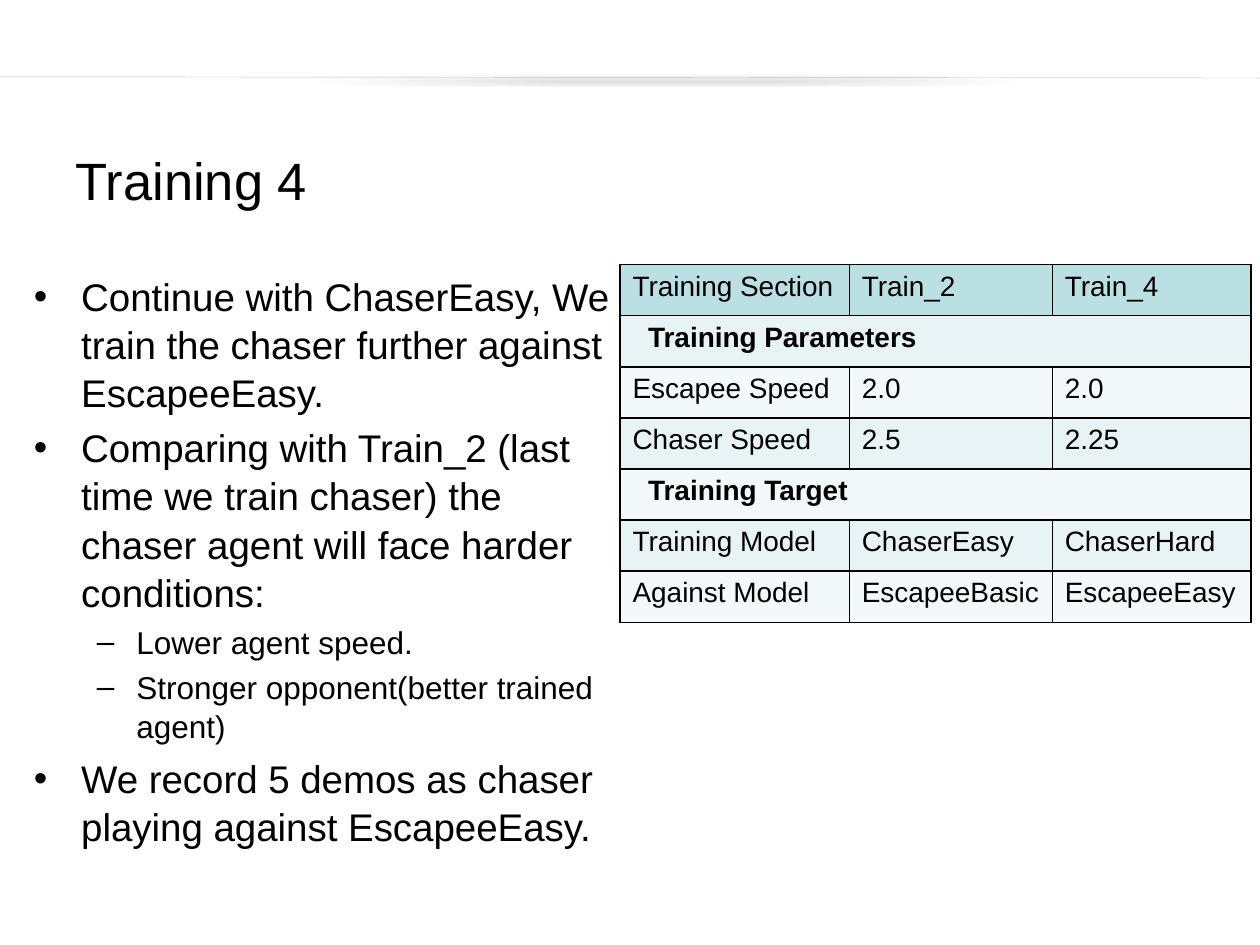
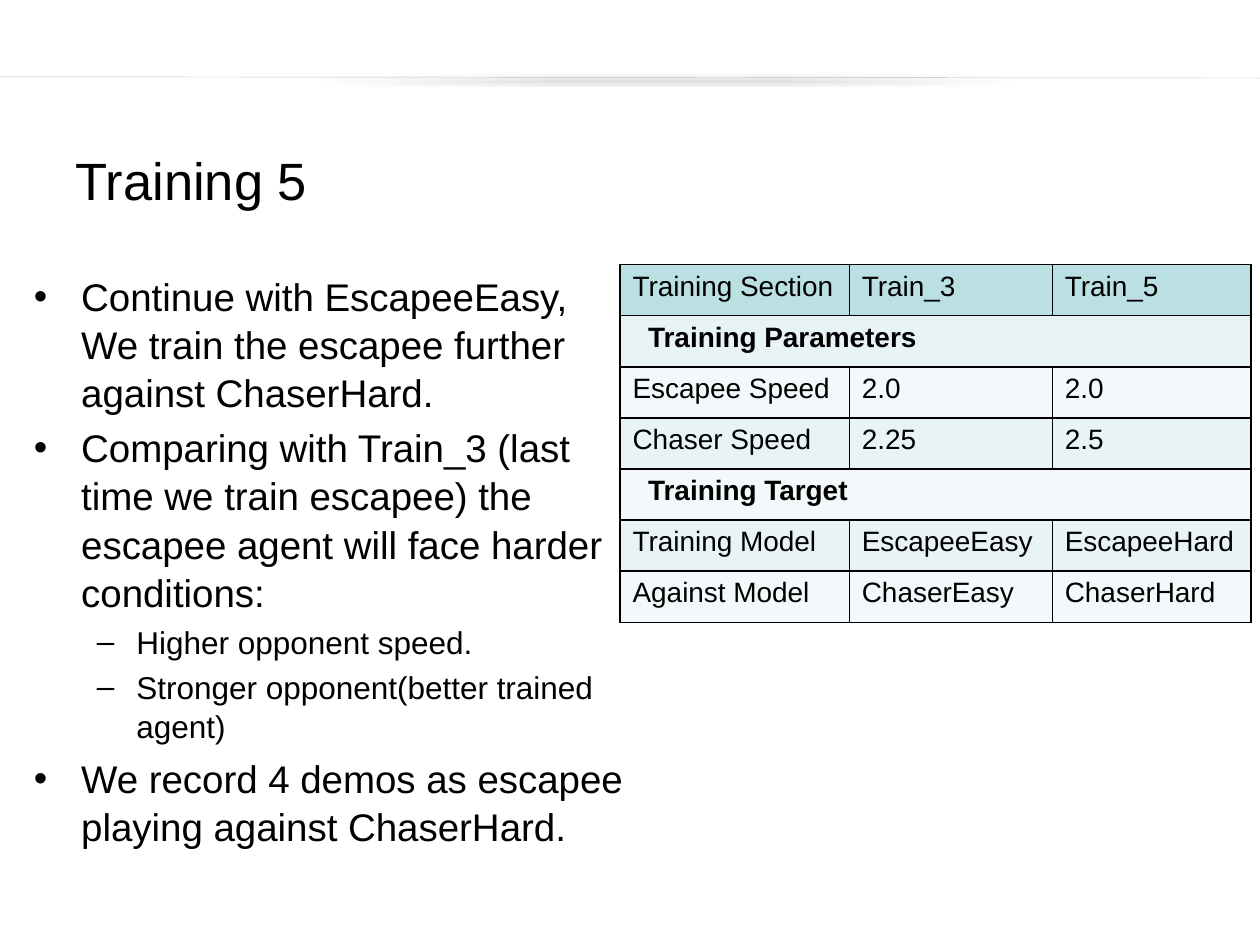
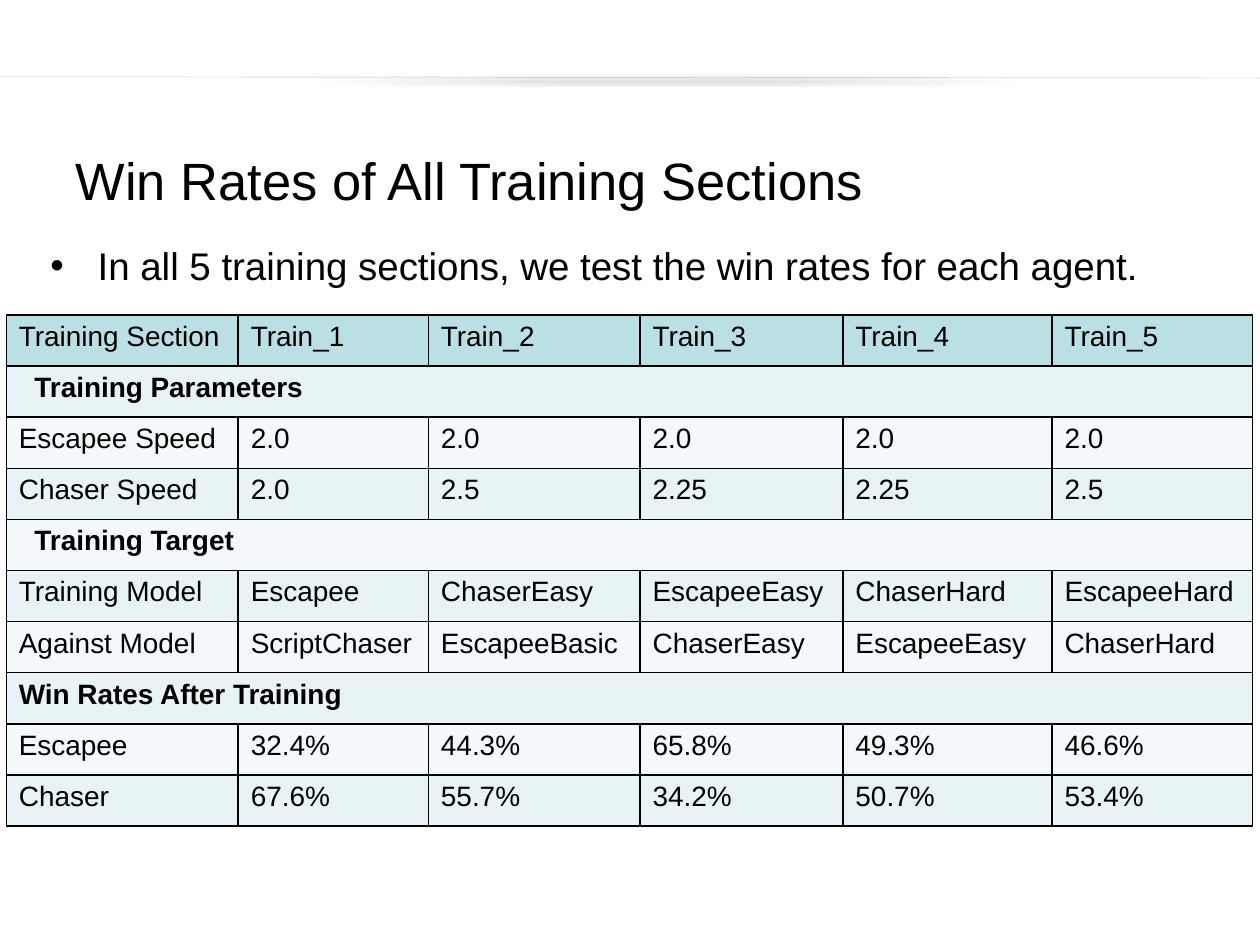
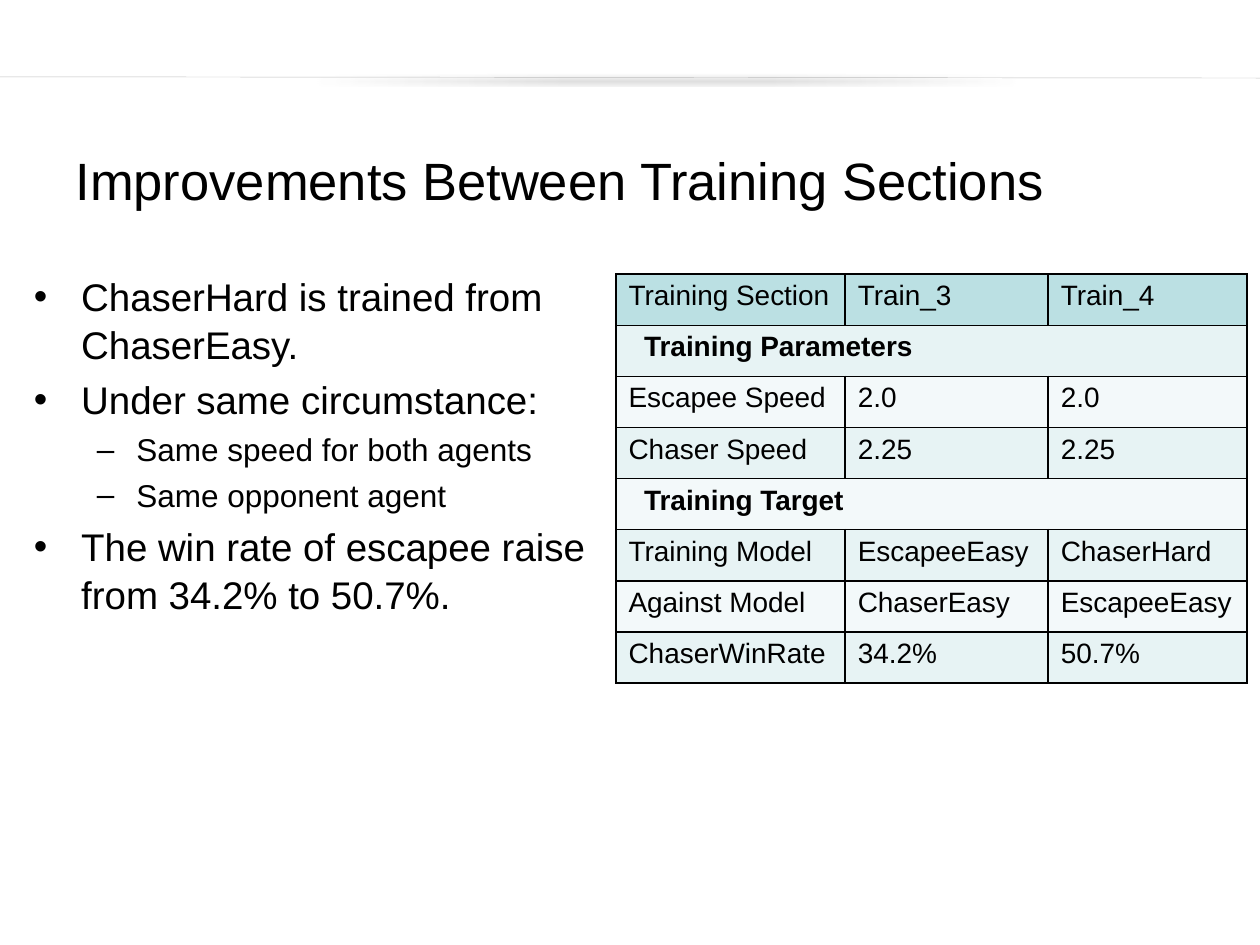
from dataclasses import dataclass

import pptx
import pptx.dml.color
import pptx.enum.shapes
import pptx.enum.text
import pptx.oxml
import pptx.oxml.ns
import pptx.util
from lxml import etree

Pt = pptx.util.Pt


@dataclass(frozen=True)
class Theme:
    font: str = "Arial"
    ink: str = "000000"
    rule: str = "BFBFBF"
    header: str = "BBE0E3"
    bands: tuple = ("F3F9FA", "E7F3F4")  # even rows, odd rows
    title_size: float = 30
    body_sizes: tuple = (22, 18)  # by list level
    table_size: float = 16
    line_spacing: float = 1.04
    row_height: float = 29.2
    cell_indent: float = 7.2
    section_indent: float = 16.1


THEME = Theme()
TITLE_BOX = (36, 70.6, 648, 63.4)

# One record per training section; every table is a selection of these
TRAININGS = {
    "Train_1": dict(escapee_speed="2.0", chaser_speed="2.0", model="Escapee",
                    against="ScriptChaser", escapee_wins="32.4%", chaser_wins="67.6%"),
    "Train_2": dict(escapee_speed="2.0", chaser_speed="2.5", model="ChaserEasy",
                    against="EscapeeBasic", escapee_wins="44.3%", chaser_wins="55.7%"),
    "Train_3": dict(escapee_speed="2.0", chaser_speed="2.25", model="EscapeeEasy",
                    against="ChaserEasy", escapee_wins="65.8%", chaser_wins="34.2%"),
    "Train_4": dict(escapee_speed="2.0", chaser_speed="2.25", model="ChaserHard",
                    against="EscapeeEasy", escapee_wins="49.3%", chaser_wins="50.7%"),
    "Train_5": dict(escapee_speed="2.0", chaser_speed="2.5", model="EscapeeHard",
                    against="ChaserHard", escapee_wins="46.6%", chaser_wins="53.4%"),
}

# Table rows: label, field (None for a section heading), left margin
SETUP_ROWS = [
    ("Training Parameters", None, THEME.section_indent),
    ("Escapee Speed", "escapee_speed", THEME.cell_indent),
    ("Chaser Speed", "chaser_speed", THEME.cell_indent),
    ("Training Target", None, THEME.section_indent),
    ("Training Model", "model", THEME.cell_indent),
    ("Against Model", "against", THEME.cell_indent),
]
WIN_RATE_ROWS = [
    ("Win Rates After Training", None, THEME.cell_indent),
    ("Escapee", "escapee_wins", THEME.cell_indent),
    ("Chaser", "chaser_wins", THEME.cell_indent),
]
CHASER_ROW = ("ChaserWinRate", "chaser_wins", THEME.cell_indent)

PAIR_WIDTHS = (131, 116, 113.7)
ALL_WIDTHS = (132.5, 108.7, 121, 115.9, 119.5, 114.5)

# Slides: title, list box, (level, text) items, table corner, widths, trainings, rows
SLIDES = [
    ("Training 4", (12.2, 151.2, 347.8, 357), [
        (0, "Continue with ChaserEasy, We train the chaser further against EscapeeEasy."),
        (0, "Comparing with Train_2 (last time we train chaser) the chaser agent "
            "will face harder conditions:"),
        (1, "Lower agent speed."),
        (1, "Stronger opponent(better trained agent)"),
        (0, "We record 5 demos as chaser playing against EscapeeEasy."),
    ], (354.3, 151.2), PAIR_WIDTHS, ("Train_2", "Train_4"), SETUP_ROWS),
    ("Training 5", (12.2, 151.2, 354.2, 357), [
        (0, "Continue with EscapeeEasy, We train the escapee further against ChaserHard."),
        (0, "Comparing with Train_3 (last time we train escapee) the escapee agent "
            "will face harder conditions:"),
        (1, "Higher opponent speed."),
        (1, "Stronger opponent(better trained agent)"),
        (0, "We record 4 demos as escapee playing against ChaserHard."),
    ], (354.3, 151.2), PAIR_WIDTHS, ("Train_3", "Train_5"), SETUP_ROWS),
    ("Win Rates of All Training Sections", (21.6, 133.9, 667.4, 357), [
        (0, "In all 5 training sections, we test the win rates for each agent."),
    ], (3.6, 180), ALL_WIDTHS, tuple(TRAININGS), SETUP_ROWS + WIN_RATE_ROWS),
    ("Improvements Between Training Sections", (12.2, 151.2, 331.2, 357), [
        (0, "ChaserHard is trained from ChaserEasy."),
        (0, "Under same circumstance:"),
        (1, "Same speed for both agents"),
        (1, "Same opponent agent"),
        (0, "The win rate of escapee raise from 34.2% to 50.7%."),
    ], (352, 156.7), PAIR_WIDTHS, ("Train_3", "Train_4"), SETUP_ROWS + [CHASER_ROW]),
]


def rgb(code):
    return pptx.dml.color.RGBColor.from_string(code)


def place(shape, box):
    shape.left, shape.top, shape.width, shape.height = (Pt(length) for length in box)


def style_runs(para, size, bold=False):
    for span in para.runs:
        span.font.name = THEME.font
        span.font.size = Pt(size)
        span.font.bold = bold
        span.font.color.rgb = rgb(THEME.ink)


def add_child(parent, tag, **attributes):
    child = etree.SubElement(parent, pptx.oxml.ns.qn(tag))
    for name, value in attributes.items():
        child.set(name, str(value))
    return child


def add_master_rule(deck, page):
    """Draw the shadowed top rule and move it to the slide master."""
    rule = page.shapes.add_connector(
        pptx.enum.shapes.MSO_CONNECTOR.STRAIGHT, Pt(0), Pt(43.9), Pt(720), Pt(44.6))
    rule.line.color.rgb = rgb(THEME.rule)
    rule.line.width = Pt(0.25)
    effects = add_child(rule.element.spPr, "a:effectLst")
    shadow = add_child(effects, "a:outerShdw", blurRad=Pt(3.1), dist=Pt(1.6),
                       dir=90 * 60000, algn="t", rotWithShape=0)
    color = add_child(shadow, "a:srgbClr", val="000000")
    add_child(color, "a:alpha", val=38000)
    deck.slide_master.shapes.element.append(rule.element)


def add_title(page, text, box):
    title = page.shapes.title
    place(title, box)
    frame = title.text_frame
    frame.text = text
    frame.auto_size = pptx.enum.text.MSO_AUTO_SIZE.NONE
    frame.vertical_anchor = pptx.enum.text.MSO_ANCHOR.MIDDLE
    frame.paragraphs[0].alignment = pptx.enum.text.PP_ALIGN.LEFT
    style_runs(frame.paragraphs[0], THEME.title_size)


def add_list(page, items, box):
    """Fill the body placeholder; bullets and indents come from its levels."""
    body = page.placeholders[1]
    place(body, box)
    frame = body.text_frame
    frame.text = "\n".join(text for level, text in items)
    frame.auto_size = pptx.enum.text.MSO_AUTO_SIZE.NONE
    for para, (level, text) in zip(frame.paragraphs, items):
        para.level = level
        para.line_spacing = THEME.line_spacing
        style_runs(para, THEME.body_sizes[level])
    frame.paragraphs[0].space_before = Pt(0)


def style_cell(cell, fill, bold, indent):
    cell.margin_left = Pt(indent)
    style_runs(cell.text_frame.paragraphs[0], THEME.table_size, bold)
    properties = cell._tc.get_or_add_tcPr()
    for side in ("a:lnL", "a:lnR", "a:lnT", "a:lnB"):
        border = add_child(properties, side, w=Pt(1))
        add_child(add_child(border, "a:solidFill"), "a:srgbClr", val=THEME.ink)
    cell.fill.solid()
    cell.fill.fore_color.rgb = rgb(fill)


def add_training_table(page, corner, widths, names, rows):
    left, top = corner
    count = len(rows) + 1
    table = page.shapes.add_table(
        count, len(widths), Pt(left), Pt(top),
        Pt(sum(widths)), Pt(count * THEME.row_height)).table
    table.first_row = False
    table.horz_banding = False
    for column, width in zip(table.columns, widths):
        column.width = Pt(width)

    lines = [("Training Section", *names)]
    for label, field, indent in rows:
        values = [TRAININGS[name][field] if field else "" for name in names]
        lines.append((label, *values))

    for index, line in enumerate(lines):
        table.rows[index].height = Pt(THEME.row_height)
        fill = THEME.bands[index % 2] if index else THEME.header
        heading = index > 0 and rows[index - 1][1] is None
        for column, text in enumerate(line):
            cell = table.cell(index, column)
            cell.text = text
            indent = rows[index - 1][2] if heading else THEME.cell_indent
            style_cell(cell, fill, heading, indent)
        if heading:
            table.cell(index, 0).merge(table.cell(index, len(widths) - 1))


def add_training_slide(deck, title, list_box, items, corner, widths, names, rows):
    page = deck.slides.add_slide(deck.slide_layouts[1])
    add_title(page, title, TITLE_BOX)
    add_list(page, items, list_box)
    add_training_table(page, corner, widths, names, rows)
    return page


def main():
    deck = pptx.Presentation()
    deck.slide_width, deck.slide_height = Pt(720), Pt(540)
    pages = [add_training_slide(deck, *content) for content in SLIDES]
    add_master_rule(deck, pages[0])
    deck.save("out.pptx")


if __name__ == "__main__":
    main()
